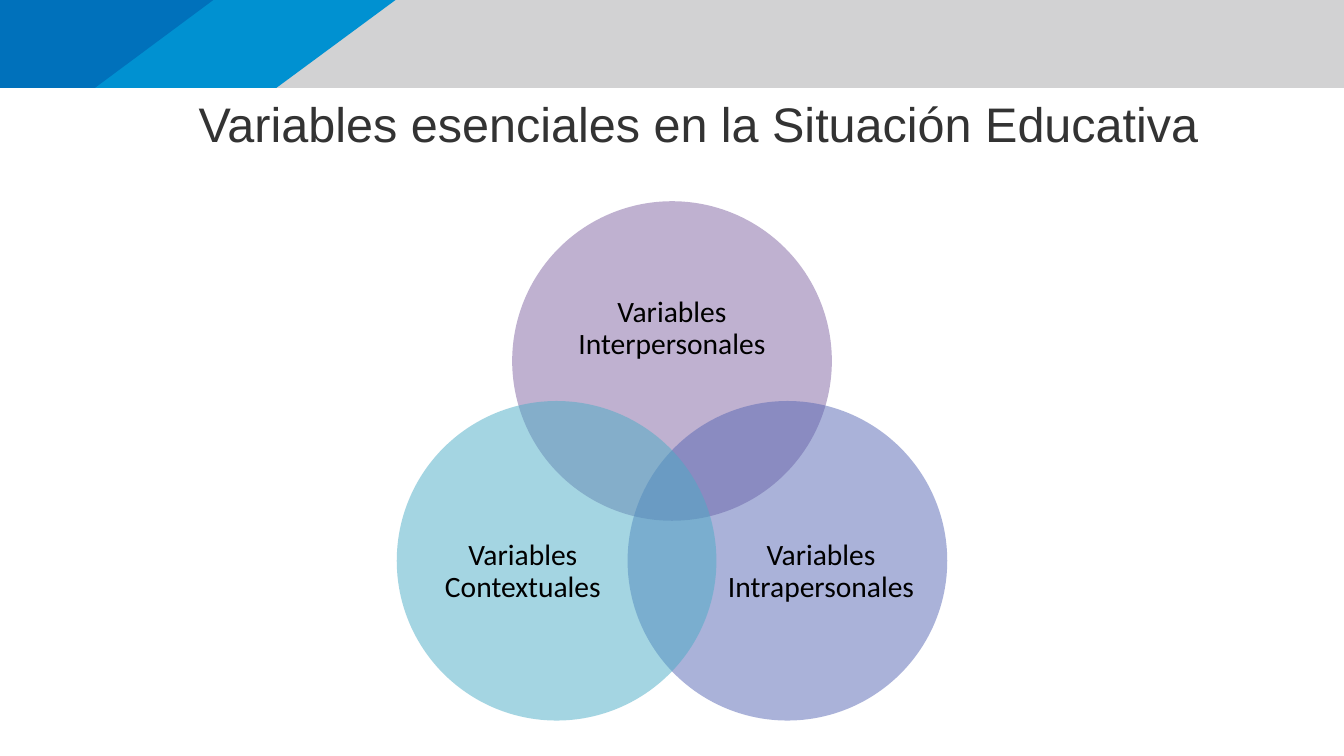
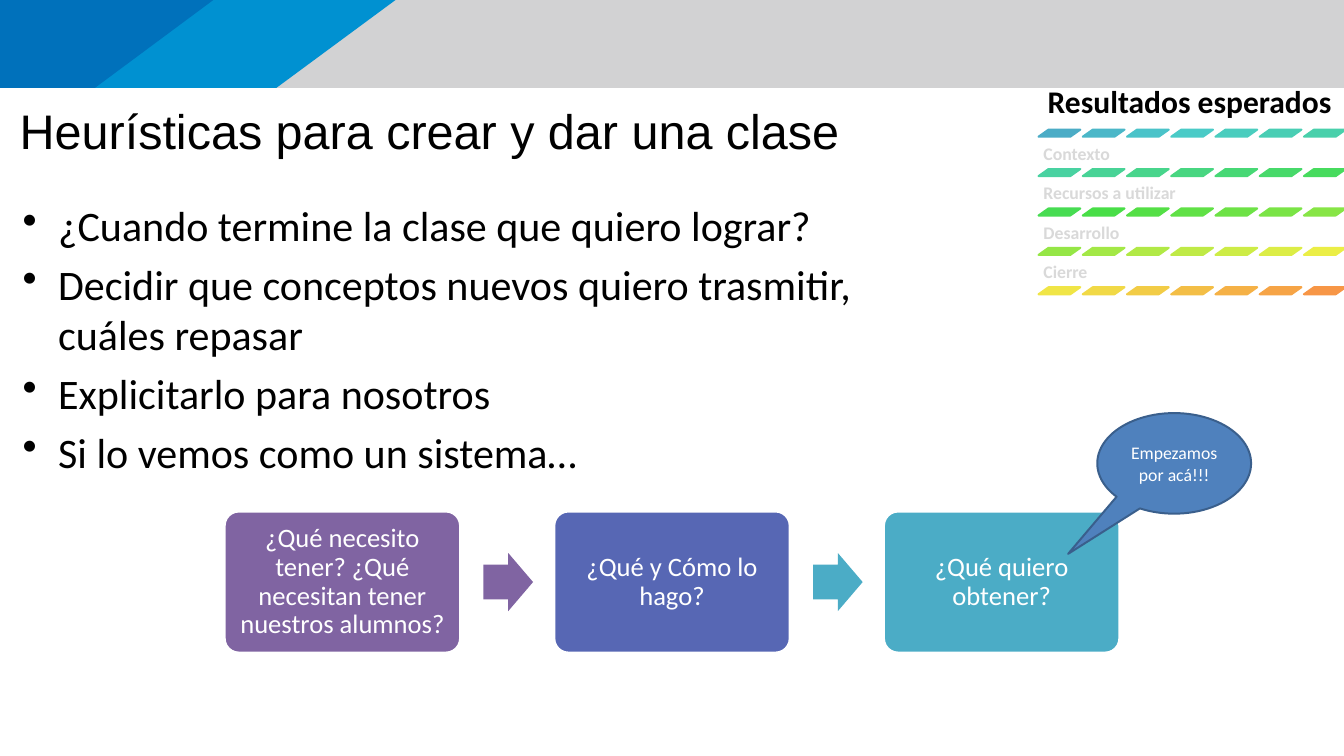
import colorsys
import math

import lxml.etree
import pptx
import pptx.dml.color
import pptx.enum.shapes
import pptx.enum.text
import pptx.oxml.ns
import pptx.util

Inches = pptx.util.Inches
SHAPES = pptx.enum.shapes.MSO_SHAPE
ALIGN = pptx.enum.text.PP_ALIGN
ANCHOR = pptx.enum.text.MSO_ANCHOR

WIDTH, HEIGHT = 18.96, 10.67
BAND_HEIGHT = 1.24
COLORS = {
    "band": "D2D2D3", "light_blue": "0091D1", "dark_blue": "0071BB",
    "title": "333333", "black": "000000", "white": "FFFFFF", "muted": "D9D9D9",
    "purple": "8064A2", "indigo": "5767B4", "teal": "4BACC6", "orange": "F79646",
    "callout": "4F81BD", "callout_line": "3A5F8C",
}
TITLE = {"size": 49.3, "font": "Arial", "align": ALIGN.CENTER}
DIAGRAM = {"align": ALIGN.CENTER, "anchor": ANCHOR.MIDDLE, "spacing": 0.9}


def rgb(color):
    return pptx.dml.color.RGBColor.from_string(color)


def set_values(target, values):
    for name, value in values.items():
        setattr(target, name, value)


def write(shape, lines, size, color=COLORS["black"], font="Calibri", bold=False,
          align=ALIGN.LEFT, anchor=ANCHOR.TOP, spacing=1.0, before=0, inset=0):
    """Fill a shape with paragraphs; an inset of None keeps the default margins."""
    frame = shape.text_frame
    set_values(frame, {"word_wrap": True, "vertical_anchor": anchor})
    if inset is not None:
        sides = ("left", "top", "right", "bottom")
        set_values(frame, {f"margin_{side}": Inches(inset) for side in sides})
    for index, line in enumerate(lines):
        paragraph = frame.add_paragraph() if index else frame.paragraphs[0]
        paragraph.text = line
        set_values(paragraph, {"alignment": align, "line_spacing": spacing,
                               "space_before": pptx.util.Pt(before)})
        for run in paragraph.runs:
            set_values(run.font, {"name": font, "size": pptx.util.Pt(size), "bold": bold})
            run.font.color.rgb = rgb(color)


def add_text(slide, box, lines, **style):
    shape = slide.shapes.add_textbox(*map(Inches, box))
    write(shape, lines, **style)
    return shape


def paint(shape, fill, line=None, alpha=None):
    shape.shadow.inherit = False
    shape.fill.solid()
    shape.fill.fore_color.rgb = rgb(fill)
    if alpha is not None:
        color = shape.fill._xPr.find(".//" + pptx.oxml.ns.qn("a:srgbClr"))
        lxml.etree.SubElement(color, pptx.oxml.ns.qn("a:alpha")).set("val", str(alpha * 1000))
    if line:
        shape.line.color.rgb = rgb(line)
        shape.line.width = pptx.util.Pt(2)
    else:
        shape.line.fill.background()


def add_preset(slide, kind, box, fill, line=None, alpha=None, adjustments=()):
    shape = slide.shapes.add_shape(kind, *map(Inches, box))
    for index, value in enumerate(adjustments):
        shape.adjustments[index] = value
    paint(shape, fill, line, alpha)
    return shape


def add_header(slide, box):
    """Grey band with two slanted blue ends."""
    left, top, width, height = box
    for upper, lower, color in ((width, width, "band"), (5.58, 3.9, "light_blue"),
                                (3.01, 1.34, "dark_blue")):
        corners = [(left + upper, top), (left + lower, top + height), (left, top + height)]
        builder = slide.shapes.build_freeform(Inches(left), Inches(top), scale=1.0)
        builder.add_line_segments([tuple(map(Inches, corner)) for corner in corners])
        paint(builder.convert_to_shape(), COLORS[color])


def add_slide(presentation, title, title_box, title_color):
    slide = presentation.slides.add_slide(presentation.slide_layouts[6])
    add_header(slide, (0, 0, WIDTH, BAND_HEIGHT))
    add_text(slide, title_box, [title], color=COLORS[title_color], **TITLE)
    return slide


def add_venn(slide, box):
    """Three circles at equal angles; each label box is relative to its circle."""
    left, top, width, _ = box
    diameter, reach = 4.51, 1.88
    circles = (
        ("Variables Interpersonales", "purple", -90, (0.6, 0.79, 3.31, 2.03)),
        ("Variables Intrapersonales", "indigo", 30, (1.38, 1.17, 2.7, 2.48)),
        ("Variables Contextuales", "teal", 150, (0.43, 1.17, 2.7, 2.48)),
    )
    for label, color, degrees, (dx, dy, label_width, label_height) in circles:
        angle = math.radians(degrees)
        x = left + (width - diameter) / 2 + reach * math.cos(angle)
        y = top + reach + reach * math.sin(angle)
        add_preset(slide, SHAPES.OVAL, (x, y, diameter, diameter), COLORS[color], alpha=50)
        add_text(slide, (x + dx, y + dy, label_width, label_height), [label],
                 size=30, **DIAGRAM)


def add_bullets(slide, box, lines):
    shape = add_text(slide, box, lines, size=42.7, before=8.5)
    for paragraph in shape.text_frame.paragraphs:
        properties = paragraph._p.get_or_add_pPr()
        properties.set("marL", str(Inches(0.5)))
        properties.set("indent", str(-Inches(0.5)))
        bullet = lxml.etree.SubElement(properties, pptx.oxml.ns.qn("a:buChar"))
        bullet.set("char", "•")


def blend(start, end, share):
    """Colour between two hex colours along hue, lightness and saturation."""
    first, last = (
        colorsys.rgb_to_hls(*(channel / 255 for channel in rgb(color)))
        for color in (start, end)
    )
    mixed = [a + (b - a) * share for a, b in zip(first, last)]
    return "".join(f"{round(channel * 255):02X}" for channel in colorsys.hls_to_rgb(*mixed))


def add_agenda(slide, box, current, others):
    """Class stages, each underlined by a row of slanted dashes."""
    left, top, width, height = box
    entries = [current, *others]
    dashes, text_height = 7, 0.4
    row_pitch = height / len(entries)
    last = len(entries) * dashes - 1
    for row, entry in enumerate(entries):
        y = top + row * row_pitch
        style = ({"size": 32, "inset": 0.13} if row == 0 else
                 {"size": 18, "inset": 0.07, "color": COLORS["muted"]})
        add_text(slide, (left, y, width, text_height), [entry], bold=True,
                 anchor=ANCHOR.BOTTOM, spacing=0.9, **style)
        for column in range(dashes):
            color = blend(COLORS["teal"], COLORS["orange"], (row * dashes + column) / last)
            add_preset(slide, SHAPES.PARALLELOGRAM,
                       (left + column * 0.624, y + text_height, 0.59, 0.1),
                       color, line=color, adjustments=(1.41,))


def add_process(slide, box, steps):
    """Rounded steps in a row with an arrow in each gap."""
    left, top, width, height = box
    step_width, arrow_width, arrow_height, margin = 3.32, 0.7, 0.82, 0.06
    pitch = (width - step_width) / (len(steps) - 1)
    arrow_colors = ("purple", "teal")
    for index, (label, color) in enumerate(steps):
        x = left + index * pitch
        add_preset(slide, SHAPES.ROUNDED_RECTANGLE, (x, top, step_width, height),
                   COLORS[color], line=COLORS["white"], adjustments=(0.1,))
        add_text(slide, (x + margin, top + margin, step_width - 2 * margin,
                         height - 2 * margin),
                 [label], size=27, color=COLORS["white"], inset=0.11, **DIAGRAM)
        if index < len(arrow_colors):
            add_preset(slide, SHAPES.RIGHT_ARROW,
                       (x + step_width + 0.33, top + (height - arrow_height) / 2,
                        arrow_width, arrow_height),
                       COLORS[arrow_colors[index]], adjustments=(0.6, 0.5))


def add_callout(slide, box, label):
    shape = add_preset(slide, SHAPES.OVAL_CALLOUT, box, COLORS["callout"],
                       line=COLORS["callout_line"], adjustments=(-0.69, 0.9))
    write(shape, [label], size=18, color=COLORS["white"], align=ALIGN.CENTER,
          anchor=ANCHOR.MIDDLE, inset=None)


def build_variables(presentation):
    slide = add_slide(presentation, "Variables esenciales en la Situación Educativa",
                      (2.15, 1.33, 15.42, 1.66), "title")
    add_venn(slide, (5.6, 2.84, 7.76, 7.33))


def build_heuristics(presentation):
    slide = add_slide(presentation, "Heurísticas para crear y dar una clase",
                      (0.15, 1.42, 11.83, 0.83), "black")
    add_bullets(slide, (0.32, 2.82, 16.61, 4.02), [
        "¿Cuando termine la clase que quiero lograr?",
        "Decidir que conceptos nuevos quiero trasmitir, \vcuáles repasar",
        "Explicitarlo para nosotros",
        "Si lo vemos como un sistema…",
    ])
    add_agenda(slide, (14.65, 1.43, 4.31, 2.78), "Resultados esperados",
               ["Contexto", "Recursos a utilizar", "Desarrollo", "Cierre"])
    add_process(slide, (3.17, 7.22, 12.62, 1.99), [
        ("¿Qué necesito tener? ¿Qué necesitan tener nuestros alumnos?", "purple"),
        ("¿Qué y Cómo lo hago?", "indigo"),
        ("¿Qué quiero obtener?", "teal"),
    ])
    add_callout(slide, (15.48, 5.83, 2.17, 1.42), "Empezamos por acá!!!")


def main():
    presentation = pptx.Presentation()
    set_values(presentation, {"slide_width": Inches(WIDTH), "slide_height": Inches(HEIGHT)})
    build_variables(presentation)
    build_heuristics(presentation)
    presentation.save("out.pptx")


if __name__ == "__main__":
    main()
